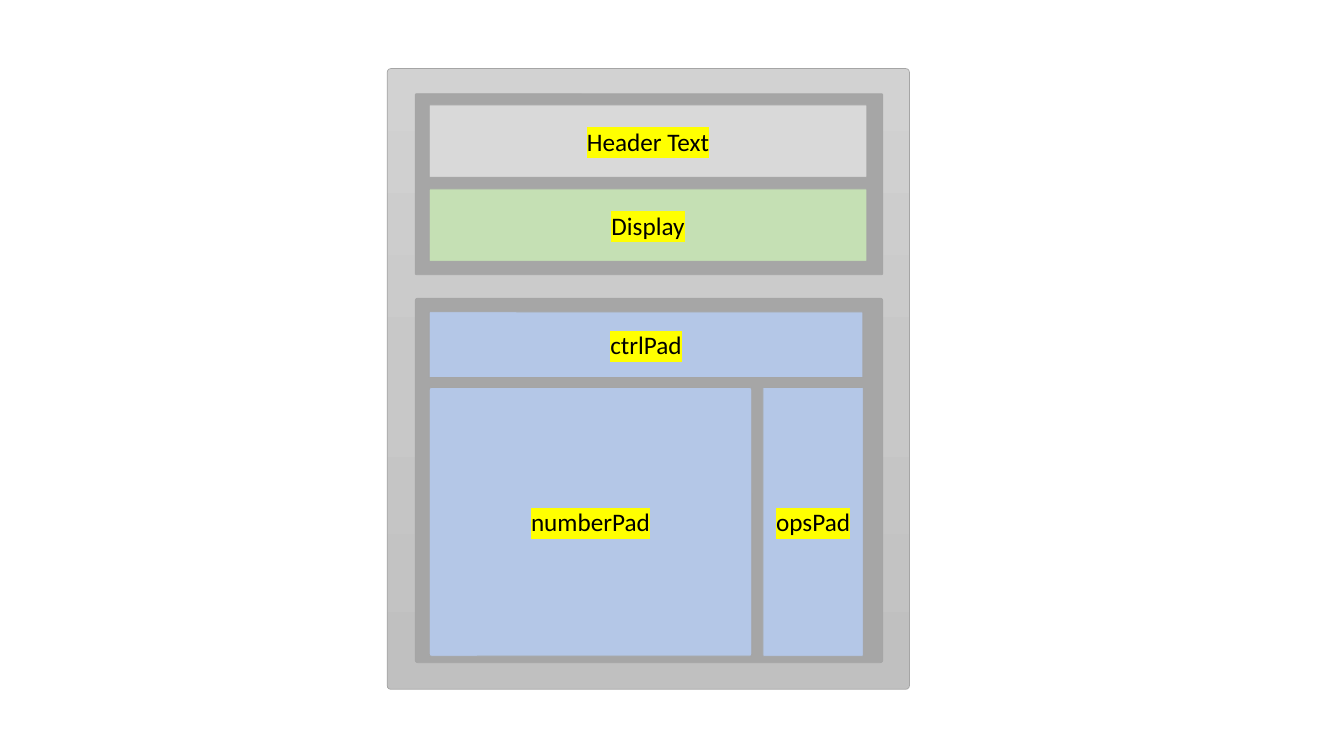
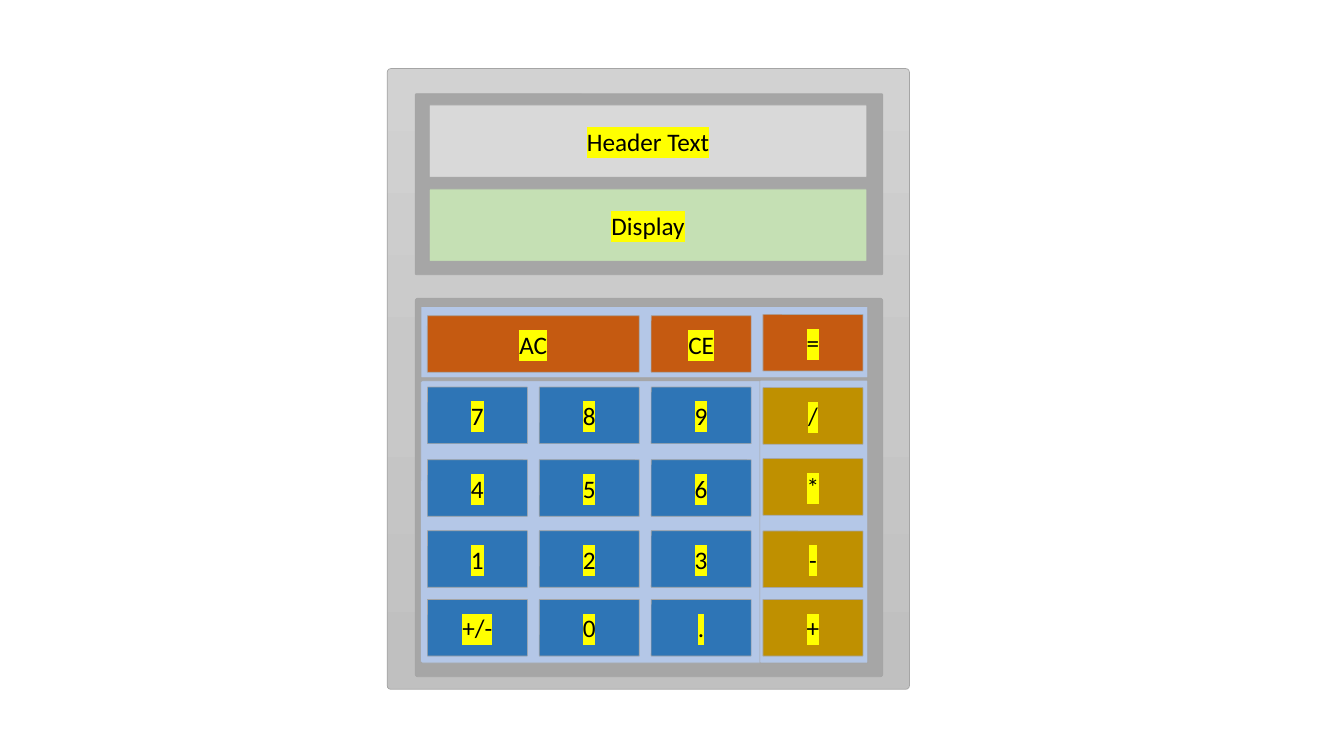
"""Build two calculator layout slides: the named areas, then the keys inside them."""
from copy import deepcopy

from lxml.etree import SubElement
from pptx import Presentation
from pptx.dml.color import RGBColor
from pptx.enum.shapes import MSO_SHAPE
from pptx.enum.text import MSO_ANCHOR, PP_ALIGN
from pptx.oxml.ns import qn
from pptx.util import Pt

COLORS = {
    "line": "A5A5A5", "panel": "A6A6A6", "header": "D9D9D9", "display": "C5E0B4",
    "pad": "B4C7E7", "control": "C55A11", "number": "2E75B6", "operator": "BF9000",
    "text": "000000", "highlight": "FFFF00",
}
CASE_GRADIENT = [(0, "D2D2D2"), (0.5, "C8C8C8"), (1, "C0C0C0")]
FONT, TEXT_SIZE = "Calibri", 18
AREA_LEFT = 306.7
KEY_LEFT, KEY_W, KEY_H, KEY_PITCH = 305.3, 71.4, 40.4, 79.9
OPS_LEFT = KEY_LEFT + 3 * KEY_PITCH
PAD_TOP = 276.5


def add_box(slide, color, left, top, width, height, label=""):
    s = slide.shapes.add_shape(MSO_SHAPE.ROUNDED_RECTANGLE,
                               Pt(left), Pt(top), Pt(width), Pt(height))
    s.adjustments[0] = 0.007
    s.shadow.inherit = False
    s.fill.solid()
    s.fill.fore_color.rgb = RGBColor.from_string(COLORS[color])
    s.line.color.rgb = RGBColor.from_string(COLORS["line"])
    s.line.width = Pt(0.5)
    if label:
        tf = s.text_frame
        tf.word_wrap = True
        tf.vertical_anchor = MSO_ANCHOR.MIDDLE
        p = tf.paragraphs[0]
        p.alignment = PP_ALIGN.CENTER
        r = p.add_run()
        r.text = label
        r.font.size = Pt(TEXT_SIZE)
        r.font.color.rgb = RGBColor.from_string(COLORS["text"])
        highlight = SubElement(r._r.get_or_add_rPr(), qn("a:highlight"))
        SubElement(highlight, qn("a:srgbClr"), val=COLORS["highlight"])
        r.font.name = FONT
    return s


def add_calculator(prs, keypad_height):
    slide = prs.slides.add_slide(prs.slide_layouts[6])
    case = add_box(slide, "panel", 276.6, 49, 373, 443.4)
    case.fill.gradient()
    case.fill.gradient_angle = 270
    first_stop = case._element.spPr.find(".//" + qn("a:gs"))
    first_stop.addnext(deepcopy(first_stop))
    for stop, (position, color) in zip(case.fill.gradient_stops, CASE_GRADIENT):
        stop.position = position
        stop.color.rgb = RGBColor.from_string(color)
    add_box(slide, "panel", 296.6, 213, 334, keypad_height)
    add_box(slide, "panel", 296.6, 67, 334, 129.2)
    add_box(slide, "display", AREA_LEFT, 135, 312.4, 51.6, "Display")
    add_box(slide, "header", AREA_LEFT, 75, 312.4, 51.6, "Header Text")
    return slide


prs = Presentation()
prs.slide_width, prs.slide_height = Pt(960), Pt(540)

areas = add_calculator(prs, 260.4)
add_box(areas, "pad", AREA_LEFT, 222.8, 309.6, 46.8, "ctrlPad")
add_box(areas, "pad", AREA_LEFT, PAD_TOP + 0.4, 230.2, 191.8, "numberPad")
add_box(areas, "pad", OPS_LEFT, PAD_TOP + 0.4, 71.6, 191.8, "opsPad")

keys = add_calculator(prs, 270.4)
add_box(keys, "pad", 300.8, 219, 319, 50.8)
add_box(keys, "control", KEY_LEFT, 225.5, KEY_PITCH + KEY_W, KEY_H, "AC")
add_box(keys, "control", KEY_LEFT + 2 * KEY_PITCH, 225.5, KEY_W, KEY_H, "CE")
add_box(keys, "control", OPS_LEFT, 224.6, KEY_W, KEY_H, "=")

add_box(keys, "pad", 300.5, 272, 244, 201.6)
number_rows = [(PAD_TOP, "7 8 9"), (328.4, "4 5 6"), (379.1, "1 2 3"), (428.2, "+/- 0 .")]
for top, labels in number_rows:
    for col, label in enumerate(labels.split()):
        add_box(keys, "number", KEY_LEFT + col * KEY_PITCH, top, KEY_W, KEY_H, label)

add_box(keys, "pad", 542.8, 271.6, 77, 202)
for top, label in [(PAD_TOP + 0.4, "/"), (327.6, "*"), (379.3, "-"), (428.2, "+")]:
    add_box(keys, "operator", OPS_LEFT, top, KEY_W, KEY_H, label)

prs.save("out.pptx")
